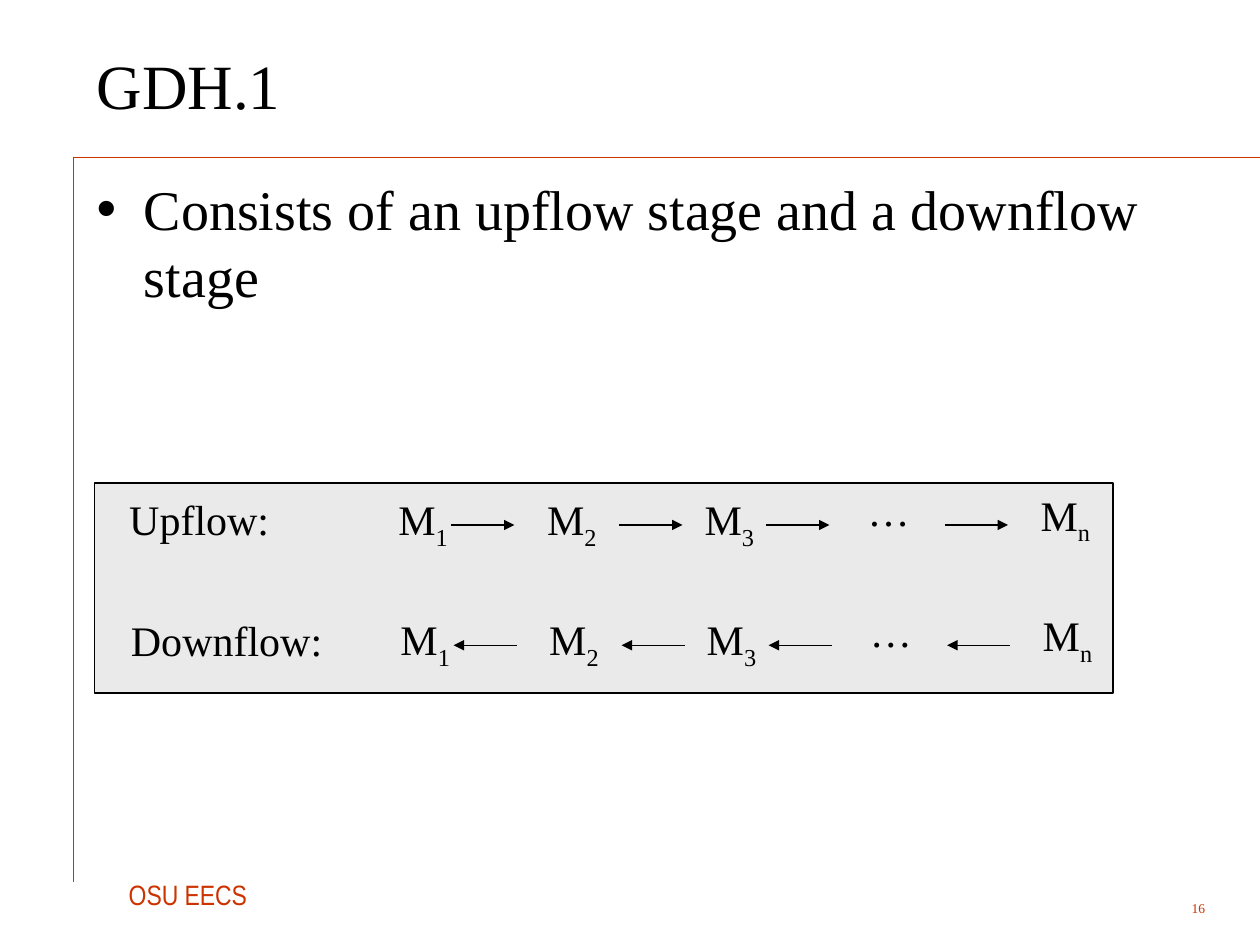
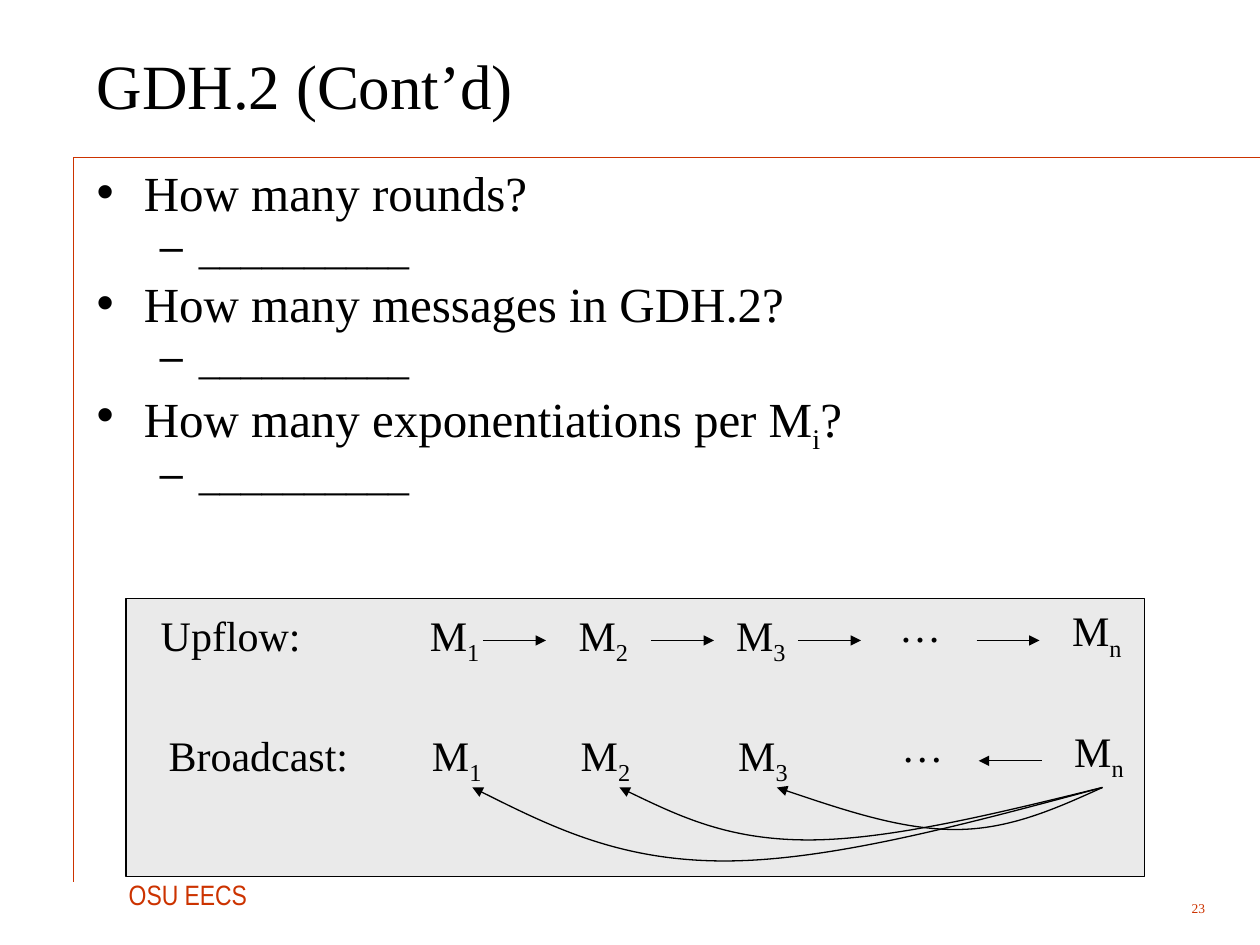
import pptx
import pptx.dml.color
import pptx.enum.shapes
import pptx.enum.text
import pptx.oxml.ns
import pptx.util
from lxml import etree

Pt = pptx.util.Pt
ALIGN = pptx.enum.text.PP_ALIGN
ANCHOR = pptx.enum.text.MSO_ANCHOR
FIT = pptx.enum.text.MSO_AUTO_SIZE
SHAPE = pptx.enum.shapes.MSO_SHAPE
LINK = pptx.enum.shapes.MSO_CONNECTOR

INK, RUST, GREY = "000000", "CC3300", "EAEAEA"
SERIF, SANS = "Times New Roman", "Arial Narrow"
BULLETS = [("•", 27, -27), ("–", 58.5, -22.5)]
NODES = [("M~1", 166.5, 2.5, 42.5), ("M~2", 251.5, 2.5, 42.5),
         ("M~3", 341.5, 2.5, 42.5), ("…", 434.75, -2.5, 38), ("M~n", 533.5, 0, 42.5)]
ARROWS = [204, 300, 384, 486]
REACH, SHIFT, DROP = 36, 1.25, 68.75
ARCS = [(372, 474, 31, 24), (282, 390, 46, 30), (198, 342, 60, 42)]


def color(code):
    """Turn a hex string into a colour."""
    return pptx.dml.color.RGBColor.from_string(code)


def put(item, **form):
    """Set format values on an item."""
    for key, value in form.items():
        setattr(item, key, value)


def node(parent, tag, **attrs):
    """Append an XML element to a parent."""
    return etree.SubElement(parent, pptx.oxml.ns.qn(tag), attrs)


def write(para, text, size, tint=INK, face=SERIF):
    """Fill a paragraph; text between tildes is subscript."""
    for turn, part in enumerate(text.split("~")):
        run = para.add_run()
        run.text = part
        put(run.font, size=Pt(size), name=face)
        run.font.color.rgb = color(tint)
        if turn % 2:
            run._r.get_or_add_rPr().set("baseline", "-25000")


def label(slide, box, text, size=24, tint=INK, face=SERIF):
    """Add a one-line text box."""
    frame = slide.shapes.add_textbox(*map(Pt, box)).text_frame
    put(frame, word_wrap=False, auto_size=FIT.SHAPE_TO_FIT_TEXT)
    write(frame.paragraphs[0], text, size, tint, face)
    return frame


def stroke(item, tint=INK, width=0.75, end=None):
    """Style a line and give it an arrowhead at one end."""
    item.line.color.rgb = color(tint)
    item.line.width = Pt(width)
    if end:
        node(item.line._get_or_add_ln(), end, type="triangle")


def rule(slide, ends, **form):
    """Draw a straight line without shadow."""
    line = slide.shapes.add_connector(LINK.STRAIGHT, *map(Pt, ends))
    stroke(line, **form)
    node(line._element.spPr, "a:effectLst")


def place(holder, box, anchor):
    """Move a placeholder and reset its frame."""
    put(holder, **dict(zip(("left", "top", "width", "height"), map(Pt, box))))
    frame = holder.text_frame
    put(frame, word_wrap=True, auto_size=FIT.NONE, vertical_anchor=anchor)
    return frame


def base(deck, title, page):
    """Start a slide with title, rules and footer."""
    slide = deck.slides.add_slide(deck.slide_layouts[1])
    rule(slide, (42, 90, 720, 90), tint=RUST, width=0.25)
    rule(slide, (42, 90, 42, 504), tint=RUST)
    label(slide, (66.5, 498, 85.5, 27), "OSU EECS", 16, RUST, SANS)
    frame = label(slide, (635.75, 510, 60, 18), page, 7.7, RUST)
    put(frame, word_wrap=True, auto_size=FIT.NONE, vertical_anchor=ANCHOR.MIDDLE)
    frame.paragraphs[0].alignment = ALIGN.RIGHT
    para = place(slide.shapes.title, (48, 12, 649, 72), ANCHOR.MIDDLE).paragraphs[0]
    para.alignment = ALIGN.LEFT
    write(para, title, 36)
    return slide


def points(slide, tall, items, styles, pitch=1.0):
    """Fill the body with bullets; styles hold size and space per level."""
    frame = place(slide.placeholders[1], (48, 96, 650, tall), ANCHOR.TOP)
    for turn, (level, text) in enumerate(items):
        para = frame.add_paragraph() if turn else frame.paragraphs[0]
        mark, left, hang = BULLETS[level]
        size, space = styles[level]
        props = para._p.get_or_add_pPr()
        props.set("marL", str(Pt(left)))
        props.set("indent", str(Pt(hang)))
        node(node(props, "a:buClr"), "a:srgbClr", val=INK)
        node(props, "a:buChar", char=mark)
        put(para, level=level, line_spacing=pitch, space_before=Pt(space if turn else 0))
        write(para, text, size)


def panel(slide, box):
    """Draw the grey panel."""
    rect = slide.shapes.add_shape(SHAPE.RECTANGLE, *map(Pt, box))
    rect.shadow.inherit = False
    rect.fill.solid()
    rect.fill.fore_color.rgb = color(GREY)
    stroke(rect)


def flow(slide, x, y, name, wide, arrows=ARROWS, end="a:tailEnd", inset=12.75):
    """Draw a named row of nodes and arrows."""
    label(slide, (x + inset, y + 2.75, wide, 36), name)
    for text, left, top, width in NODES:
        label(slide, (x + left, y + top, width, 40), text)
    for left in arrows:
        rule(slide, (x + left, y + 24, x + left + REACH, y + 24), end=end)


def arc(slide, x, y, goal, low, pull, deep):
    """Draw a sagging arrow from the last node back to a goal."""
    span, low = 558 - goal, low - goal
    right, left = (span - low - pull) / 2, (low - pull) / 2
    bends = [((span - right, deep / 2), (low + pull, deep), (low, deep)),
             ((low - pull, deep), (left, deep / 2), (0, 0))]
    x += goal
    build = slide.shapes.build_freeform(Pt(x + span), Pt(y))
    build.add_line_segments([(Pt(x + low), Pt(y + deep)), (Pt(x), Pt(y))], close=False)
    shape = build.convert_to_shape()
    steps = list(shape._element.iter(pptx.oxml.ns.qn("a:lnTo")))
    for step, bend in zip(steps, bends):
        cubic = node(step.getparent(), "a:cubicBezTo")
        for across, down in bend:
            node(cubic, "a:pt", x=str(Pt(across)), y=str(Pt(down)))
        step.getparent().replace(step, cubic)
    shape.shadow.inherit = False
    shape.fill.background()
    stroke(shape, end="a:tailEnd")


def first(deck):
    """Build the slide on the two-way protocol."""
    slide = base(deck, "GDH.1", "16")
    points(slide, 96, [(0, "Consists of an upflow stage and a downflow stage")], [(32, 8)])
    x, y = 54, 276
    panel(slide, (x, y, 582, 120))
    flow(slide, x, y, "Upflow:", 94.5)
    flow(slide, x + SHIFT, y + DROP, "Downflow:", 124, end="a:headEnd", inset=12.5)


def second(deck):
    """Build the slide on the broadcast protocol."""
    slide = base(deck, "GDH.2 (Cont’d)", "23")
    asks = ["How many rounds?", "How many messages in GDH.2?",
            "How many exponentiations per M~i~?"]
    items = [item for ask in asks for item in ((0, ask), (1, "_" * 10))]
    points(slide, 210, items, [(28, 7), (24, 6)], 0.8)
    x, y = 72, 342
    panel(slide, (x, y, 582, 159))
    flow(slide, x, y, "Upflow:", 94.5)
    flow(slide, x + SHIFT, y + DROP, "Broadcast:", 118, ARROWS[-1:], "a:headEnd", 16)
    for sag in ARCS:
        arc(slide, x, y + 108, *sag)


def main():
    """Build and save the deck."""
    deck = pptx.Presentation()
    put(deck, slide_width=Pt(720), slide_height=Pt(540))
    first(deck)
    second(deck)
    deck.save("out.pptx")


if __name__ == "__main__":
    main()
